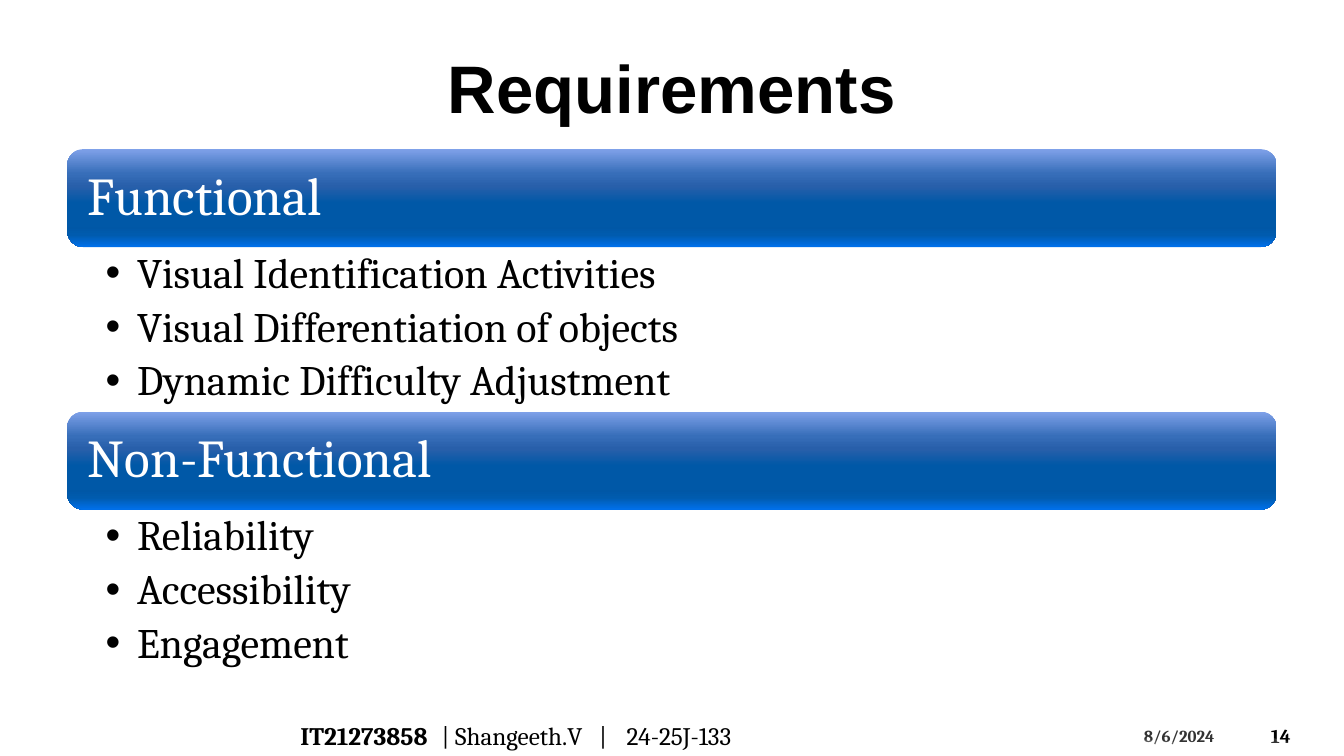
from lxml import etree
from pptx import Presentation
from pptx.dml.color import RGBColor
from pptx.enum import shapes, text
from pptx.oxml import ns
from pptx.util import Pt

BLACK = RGBColor(0x00, 0x00, 0x00)
WHITE = RGBColor(0xFF, 0xFF, 0xFF)
BAND_STOPS = [
    (0, RGBColor(0x7F, 0xA1, 0xE9)),
    (25, RGBColor(0x37, 0x6E, 0xB9)),
    (38, RGBColor(0x28, 0x5F, 0xAA)),
    (55, RGBColor(0x00, 0x58, 0xA7)),
    (80, RGBColor(0x00, 0x57, 0xA6)),
    (88, RGBColor(0x00, 0x5B, 0xAE)),
    (100, RGBColor(0x00, 0x70, 0xEB)),
]
PAGE_WIDTH, PAGE_HEIGHT = 960, 540
MARGIN, CONTENT_WIDTH = 48, 864
BAND_HEIGHT, LIST_HEIGHT = 70, 117.5
FIRST_BAND_TOP = 106.5

VEILS = [(35.5, 0.854), (29.5, 0.628), (14.5, 0.394)]
SECTIONS = [
    ("Functional", ["Visual Identification Activities",
                    "Visual Differentiation of objects",
                    "Dynamic Difficulty Adjustment"]),
    ("Non-Functional", ["Reliability", "Accessibility", "Engagement"]),
]


def add_element(parent, tag, **attributes):
    return etree.SubElement(parent, ns.qn(tag), attributes)


class SlideBuilder:
    font_name = "Cambria"

    def __init__(self, page):
        self.page = page

    def text_box(self, left, top, width, height, insets=(7.2, 3.6, 7.2, 3.6),
                 anchor=text.MSO_ANCHOR.MIDDLE):
        box = self.page.shapes.add_textbox(Pt(left), Pt(top), Pt(width), Pt(height))
        frame = box.text_frame
        frame.word_wrap = True
        frame.vertical_anchor = anchor
        (frame.margin_left, frame.margin_top,
         frame.margin_right, frame.margin_bottom) = map(Pt, insets)
        return frame

    def span(self, para, words, size, color=BLACK, bold=False, font_name=None):
        span = para.add_run()
        span.text = words
        span.font.name = font_name or self.font_name
        span.font.size = Pt(size)
        span.font.bold = bold
        span.font.color.rgb = color

    def shape(self, kind, left, top, width, height, adjustment=None):
        shape = self.page.shapes.add_shape(kind, Pt(left), Pt(top), Pt(width), Pt(height))
        shape.shadow.inherit = False
        shape.line.fill.background()
        if adjustment is not None:
            shape.adjustments[0] = adjustment
        return shape

    def veil(self, height, apex):
        veil = self.shape(shapes.MSO_SHAPE.ISOSCELES_TRIANGLE, 0, PAGE_HEIGHT - height,
                          PAGE_WIDTH, height, apex)
        veil.fill.solid()
        veil.fill.fore_color.rgb = WHITE
        color = veil.fill._xPr.find(".//" + ns.qn("a:srgbClr"))
        add_element(color, "a:alpha", val="20000")

    def band(self, top, heading):
        band = self.shape(shapes.MSO_SHAPE.ROUNDED_RECTANGLE, MARGIN, top,
                          CONTENT_WIDTH, BAND_HEIGHT)
        band.fill.gradient()
        band.fill.gradient_angle = 270
        stops = band.fill._xPr.find(".//" + ns.qn("a:gsLst"))
        stops.clear()
        for position, color in BAND_STOPS:
            stop = add_element(stops, "a:gs", pos=str(position * 1000))
            add_element(stop, "a:srgbClr", val=str(color))
        inset = 3.3
        frame = self.text_box(MARGIN + inset, top + inset, CONTENT_WIDTH - 2 * inset,
                              BAND_HEIGHT - 2 * inset, (11.5,) * 4)
        para = frame.paragraphs[0]
        para.line_spacing = 0.9
        self.span(para, heading, 38, WHITE)

    def bullets(self, top, items):
        frame = self.text_box(MARGIN, top, CONTENT_WIDTH, LIST_HEIGHT,
                              (27.4, 3.6, 21.3, 3.6), text.MSO_ANCHOR.TOP)
        for index, item in enumerate(items):
            para = frame.add_paragraph() if index else frame.paragraphs[0]
            para.line_spacing = 0.9
            para.space_after = Pt(0)
            properties = para._p.get_or_add_pPr()
            properties.set("marL", str(Pt(22.5)))
            properties.set("indent", str(Pt(-22.5)))
            after = properties.find(ns.qn("a:spcAft"))
            after.clear()
            add_element(after, "a:spcPct", val="20000")
            add_element(properties, "a:buFont", typeface="Arial")
            add_element(properties, "a:buChar", char="•")
            self.span(para, item, 30)

    def title(self, words):
        frame = self.text_box(MARGIN, 21.6, CONTENT_WIDTH, 72.7,
                              anchor=text.MSO_ANCHOR.BOTTOM)
        para = frame.paragraphs[0]
        para.alignment = text.PP_ALIGN.CENTER
        self.span(para, words, 48, bold=True, font_name="Arial")

    def footer(self, student, details):
        para = self.text_box(207.4, 511.2, 536.4, 28.8).paragraphs[0]
        stops = add_element(para._p.get_or_add_pPr(), "a:tabLst")
        for position in (101, 213.5, 233):
            add_element(stops, "a:tab", pos=str(Pt(position)), algn="l")
        self.span(para, student, 18, bold=True)
        self.span(para, details, 18)

    def label(self, left, top, width, height, words, size, anchor):
        frame = self.text_box(left, top, width, height, anchor=anchor)
        self.span(frame.paragraphs[0], words, size, bold=True)


def main():
    deck = Presentation()
    deck.slide_width, deck.slide_height = Pt(PAGE_WIDTH), Pt(PAGE_HEIGHT)
    builder = SlideBuilder(deck.slides.add_slide(deck.slide_layouts[6]))
    builder.label(900.7, 511.2, 53.3, 28.8, "14", 14, text.MSO_ANCHOR.MIDDLE)
    builder.label(810, 514.8, 84.2, 21.6, "8/6/2024", 12, text.MSO_ANCHOR.TOP)
    for height, apex in VEILS:
        builder.veil(height, apex)
    builder.title("Requirements")
    for index, (heading, items) in enumerate(SECTIONS):
        top = FIRST_BAND_TOP + index * (BAND_HEIGHT + LIST_HEIGHT)
        builder.band(top, heading)
        builder.bullets(top + BAND_HEIGHT, items)
    builder.footer("IT21273858", "\t| Shangeeth.V\t|\t24-25J-133")
    deck.save("out.pptx")


if __name__ == "__main__":
    main()
